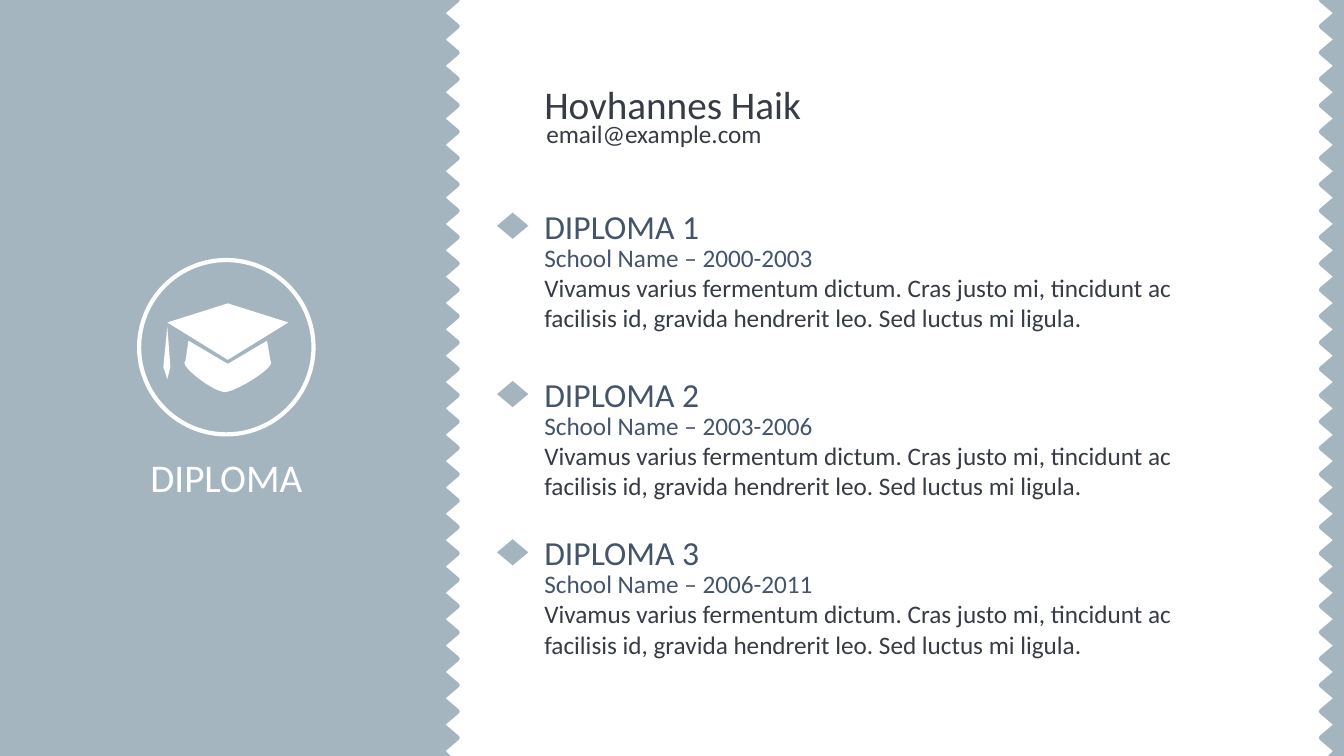
import pptx
import pptx.util
import pptx.dml.color
import pptx.enum.shapes
import pptx.enum.text

Inches = pptx.util.Inches
SHAPE = pptx.enum.shapes.MSO_SHAPE
ALIGN = pptx.enum.text.PP_ALIGN
COLOURS = {"panel": "A4B5BF", "white": "FFFFFF", "body": "363B45", "heading": "44546A"}
COLOURS = {name: pptx.dml.color.RGBColor.from_string(code) for name, code in COLOURS.items()}


def write(box, text, size, colour, align=ALIGN.LEFT):
    frame = box.text_frame
    frame.text = text
    frame.word_wrap = True
    frame.auto_size = pptx.enum.text.MSO_AUTO_SIZE.NONE
    frame.vertical_anchor = pptx.enum.text.MSO_ANCHOR.TOP
    frame.paragraphs[0].alignment = align
    font = frame.paragraphs[0].runs[0].font
    font.name = "Calibri"
    font.size = pptx.util.Pt(size)
    font.color.rgb = COLOURS[colour]


def outline(shapes, points, colour):
    corners = [(Inches(x), Inches(y)) for x, y in points]
    builder = shapes.build_freeform(*corners[0])
    builder.add_line_segments(corners[1:], close=True)
    figure = builder.convert_to_shape()
    figure.shadow.inherit = False
    figure.fill.solid()
    figure.fill.fore_color.rgb = COLOURS[colour]
    figure.line.fill.background()


deck = pptx.Presentation()
deck.slide_width, deck.slide_height = Inches(13.33), Inches(7.5)
slide = deck.slides.add_slide(deck.slide_layouts[5])
shapes = slide.shapes

# Serrated edges: rounded tips at an even pitch, with notches halfway between
pitch = 7.32 / 28
for back, tip, inward in ((4.31, 4.56, -1), (13.33, 13.08, 1)):
    edge = [(back, 0), (tip, 0)]
    for tooth in range(29):
        y = tooth * pitch
        if tooth:
            edge += [(tip + 0.01 * inward, y - 0.02), (tip, y)]
        edge += [(tip + 0.01 * inward, y + 0.02), (tip + 0.14 * inward, y + pitch / 2)]
    edge += [(tip + 0.09 * inward, 7.5), (back, 7.5)]
    outline(shapes, edge, "panel")

# Left panel
panel = shapes.add_shape(SHAPE.RECTANGLE, 0, 0, Inches(4.35), Inches(7.5))
panel.shadow.inherit = False
panel.fill.solid()
panel.fill.fore_color.rgb = COLOURS["panel"]
panel.line.fill.background()

# Ring around the graduation cap
ring = shapes.add_shape(SHAPE.OVAL, Inches(1.38), Inches(2.58), Inches(1.73), Inches(1.73))
ring.shadow.inherit = False
ring.fill.background()
ring.line.color.rgb = COLOURS["white"]
ring.line.width = pptx.util.Pt(3)

# Graduation cap: rounded base, board and tassel
cap_base = [(2.68, 3.56), (2.65, 3.38), (2.26, 3.61), (1.87, 3.38), (1.84, 3.58)]
for curve in (((1.83, 3.6), (1.83, 3.67), (2.13, 3.89), (2.23, 3.89)),
              ((2.23, 3.89), (2.33, 3.89), (2.69, 3.67), (2.69, 3.6))):
    for step in range(13):
        t = step / 12
        weights = ((1 - t) ** 3, 3 * t * (1 - t) ** 2, 3 * t ** 2 * (1 - t), t ** 3)
        cap_base.append(tuple(sum(w * p[axis] for w, p in zip(weights, curve)) for axis in (0, 1)))
cap_board = [(2.26, 3.57), (1.66, 3.2), (2.26, 3.01), (2.86, 3.2)]
cap_tassel = [(1.66, 3.24), (1.62, 3.64), (1.66, 3.76), (1.69, 3.64)]
cap = shapes.add_group_shape()
for part in (cap_base, cap_board, cap_tassel):
    outline(cap.shapes, part, "white")

# Slide title under the cap, brought in front of the panel
title = shapes.title
title.left, title.top, title.width, title.height = map(Inches, (1.38, 4.45, 1.73, 0.57))
write(title, "DIPLOMA", 28, "white", ALIGN.CENTER)
cap.element.addnext(title.element)

# Name, e-mail and the three diplomas
description = ("Vivamus varius fermentum dictum. Cras justo mi, tincidunt ac "
               "facilisis id, gravida hendrerit leo. Sed luctus mi ligula.")
texts = [
    ("Hovhannes Haik", 5.3, 0.75, 3.48, 0.57, 28, "body"),
    ("email@example.com", 5.32, 1.12, 3.36, 0.4, 18, "body"),
]
diplomas = [(1.99, "2000-2003"), (3.66, "2003-2006"), (5.23, "2006-2011")]
for number, (top, years) in enumerate(diplomas, start=1):
    texts += [
        (f"School Name – {years}", 5.3, top + 0.36, 6.65, 0.4, 18, "heading"),
        (f"DIPLOMA {number}", 5.3, top, 2.12, 0.5, 24, "heading"),
        (description, 5.3, top + 0.66, 6.45 if number == 1 else 6.65, 0.71, 18, "body"),
    ]
for text, left, top, width, height, size, colour in texts:
    box = shapes.add_textbox(Inches(left), Inches(top), Inches(width), Inches(height))
    write(box, text, size, colour)

# Diamond markers
for top, years in diplomas:
    marker = shapes.add_shape(SHAPE.DIAMOND, Inches(4.93), Inches(top + 0.12), Inches(0.31), Inches(0.26))
    marker.shadow.inherit = False
    marker.fill.solid()
    marker.fill.fore_color.rgb = COLOURS["panel"]
    marker.line.fill.background()

deck.save("out.pptx")
